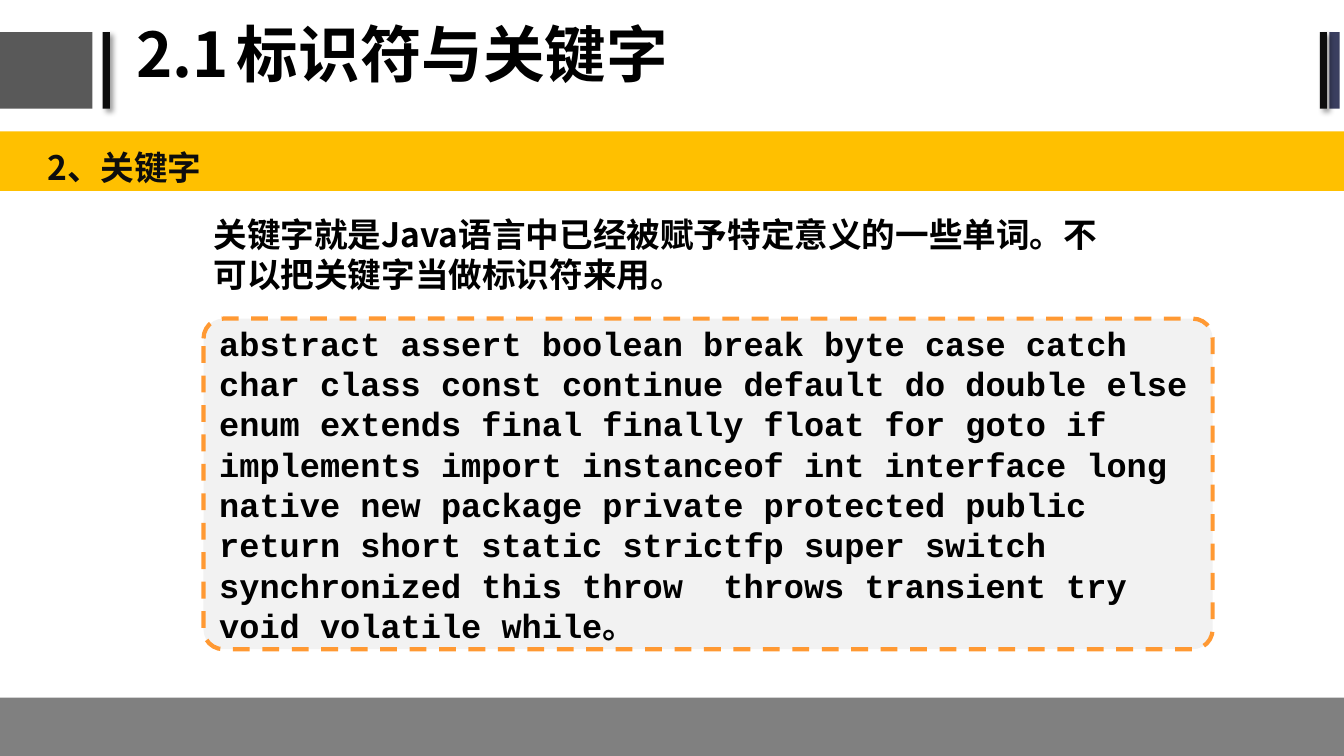
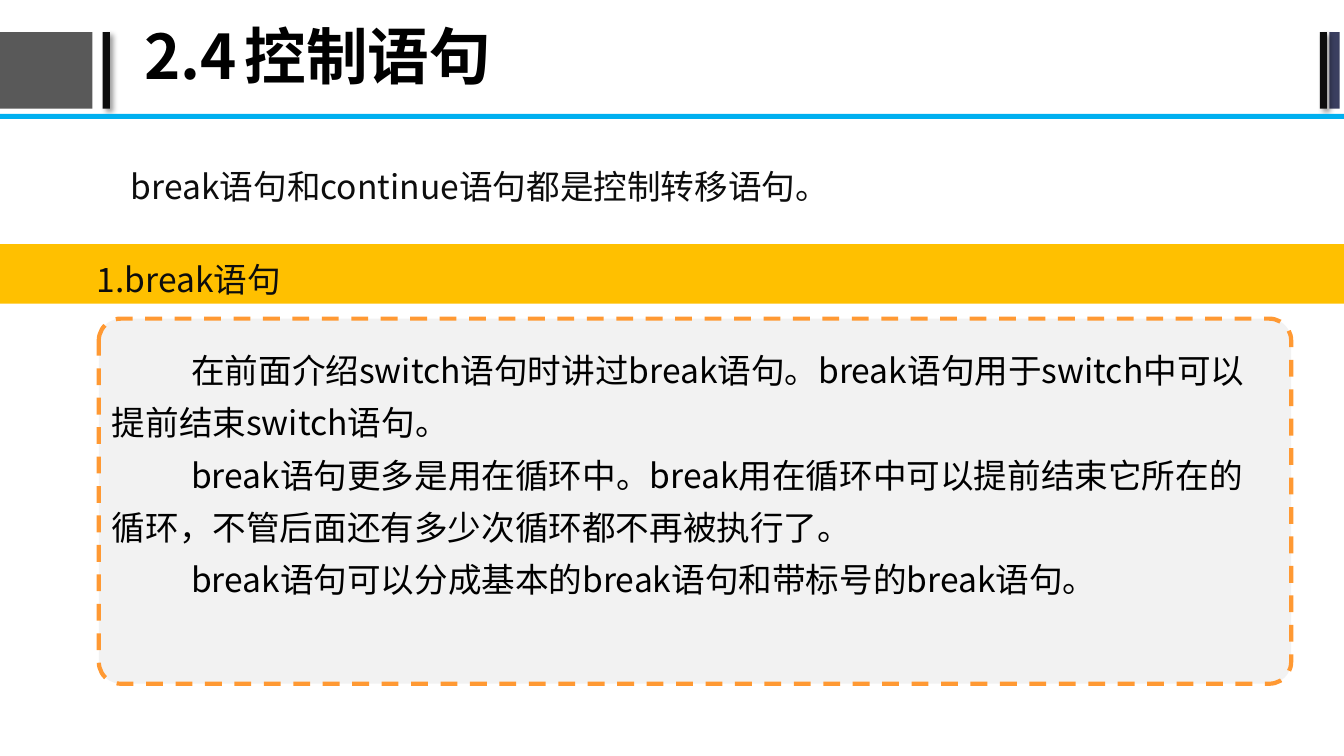
from dataclasses import dataclass

from lxml.etree import SubElement
from pptx import Presentation
from pptx.dml.color import RGBColor
from pptx.enum.dml import MSO_LINE
from pptx.enum.shapes import MSO_SHAPE
from pptx.enum.text import MSO_ANCHOR, PP_ALIGN
from pptx.oxml.ns import qn
from pptx.shapes.autoshape import Shape
from pptx.slide import Slide
from pptx.util import Cm, Pt

BLACK = RGBColor(0x00, 0x00, 0x00)
INK = RGBColor(0x0D, 0x0D, 0x0D)
CHARCOAL = RGBColor(0x59, 0x59, 0x59)
NAVY = RGBColor(0x3B, 0x3F, 0x60)
AMBER = RGBColor(0xFF, 0xC0, 0x00)
ORANGE = RGBColor(0xFF, 0x99, 0x33)
SKY = RGBColor(0x00, 0xB0, 0xF0)
PALE = RGBColor(0xF2, 0xF2, 0xF2)
GRAY = RGBColor(0x80, 0x80, 0x80)

SANS = "Noto Sans CJK SC"
MONO = "Courier New"
SLIDE_WIDTH, SLIDE_HEIGHT = 33.87, 19.05
NARROW_INSET = (0.25, 0.13)
WIDE_INSET = (0.33, 0.18)
TITLE_TAB = 3.41


@dataclass(frozen=True)
class Box:
    left: float
    top: float
    width: float
    height: float

    def lengths(self) -> tuple[Cm, Cm, Cm, Cm]:
        return Cm(self.left), Cm(self.top), Cm(self.width), Cm(self.height)


@dataclass(frozen=True)
class Bar:
    box: Box
    color: RGBColor
    shadow: bool = False


HEADER_BARS = (
    Bar(Box(0, 0.81, 2.33, 1.93), CHARCOAL),
    Bar(Box(2.59, 0.81, 0.18, 1.93), INK, shadow=True),
    Bar(Box(33.5, 0.81, 0.26, 1.93), NAVY),
    Bar(Box(33.26, 0.81, 0.18, 1.93), INK, shadow=True),
)
FOOTER = Bar(Box(0, 17.58, SLIDE_WIDTH, 1.47), GRAY)
TITLE_RULE = Bar(Box(0, 2.87, SLIDE_WIDTH, 0.13), SKY)

KEYWORDS = (
    "abstract assert boolean break byte case catch char class const continue "
    "default do double else enum extends final finally float for goto if "
    "implements import instanceof int interface long native new package private "
    "protected public return short static strictfp super switch synchronized "
    "this throw  throws transient try void volatile while。"
)
BREAK_NOTES = (
    "在前面介绍switch语句时讲过break语句。break语句用于switch中可以提前结束switch语句。\n"
    "break语句更多是用在循环中。break用在循环中可以提前结束它所在的循环，"
    "不管后面还有多少次循环都不再被执行了。\n"
    "break语句可以分成基本的break语句和带标号的break语句。"
)


def write_text(shape: Shape, text: str, *, size: float = 24, font: str = SANS,
               color: RGBColor = BLACK, bold: bool = False,
               anchor: MSO_ANCHOR = MSO_ANCHOR.TOP, spacing: float = 1.0,
               inset: tuple[float, float] = NARROW_INSET,
               indent: float = 0, tab: float = 0) -> None:
    frame = shape.text_frame
    frame.word_wrap = True
    frame.vertical_anchor = anchor
    frame.margin_left = frame.margin_right = Cm(inset[0])
    frame.margin_top = frame.margin_bottom = Cm(inset[1])
    for index, line in enumerate(text.split("\n")):
        paragraph = frame.add_paragraph() if index else frame.paragraphs[0]
        paragraph.alignment = PP_ALIGN.LEFT
        paragraph.line_spacing = spacing
        properties = paragraph._p.get_or_add_pPr()
        properties.set("marL", "0")
        properties.set("indent", str(Cm(indent)))
        if tab:
            stops = SubElement(properties, qn("a:tabLst"))
            SubElement(stops, qn("a:tab"), pos=str(Cm(tab)), algn="l")
        run = paragraph.add_run()
        run.text = line
        run.font.size = Pt(size)
        run.font.bold = bold
        run.font.color.rgb = color
        run.font.name = font
        SubElement(run._r.get_or_add_rPr(), qn("a:ea"), typeface=SANS)


def add_text(slide: Slide, box: Box, text: str, **text_format) -> None:
    write_text(slide.shapes.add_textbox(*box.lengths()), text, **text_format)


def add_bar(slide: Slide, bar: Bar) -> None:
    shape = slide.shapes.add_shape(MSO_SHAPE.RECTANGLE, *bar.box.lengths())
    shape.shadow.inherit = False
    shape.fill.solid()
    shape.fill.fore_color.rgb = bar.color
    shape.line.fill.background()
    if bar.shadow:
        effects = shape._element.spPr.find(qn("a:effectLst"))
        shadow = SubElement(effects, qn("a:outerShdw"), blurRad=str(Pt(4)),
                            dist=str(Pt(3)), dir="2700000", algn="tl",
                            rotWithShape="0")
        tint = SubElement(shadow, qn("a:srgbClr"), val=str(BLACK))
        SubElement(tint, qn("a:alpha"), val="40000")


def add_panel(slide: Slide, box: Box) -> Shape:
    panel = slide.shapes.add_shape(MSO_SHAPE.ROUNDED_RECTANGLE, *box.lengths())
    panel.shadow.inherit = False
    panel.adjustments[0] = 0.06
    panel.fill.solid()
    panel.fill.fore_color.rgb = PALE
    panel.line.color.rgb = ORANGE
    panel.line.width = Pt(3)
    panel.line.dash_style = MSO_LINE.DASH
    return panel


def add_lead(slide: Slide, box: Box, text: str, bold: bool = False) -> None:
    add_text(slide, box, text, color=INK, bold=bold, spacing=1.2,
             inset=WIDE_INSET)


def add_heading(slide: Slide, left: float, top: float, text: str,
                bold: bool = False) -> None:
    add_bar(slide, Bar(Box(0, top, SLIDE_WIDTH, 1.5), AMBER))
    add_lead(slide, Box(left, top, 25.88, 1.47), text, bold)


def start_slide(deck: Presentation, title_box: Box, title: str) -> Slide:
    slide = deck.slides.add_slide(deck.slide_layouts[6])
    for bar in HEADER_BARS:
        add_bar(slide, bar)
    add_text(slide, title_box, title, size=44, bold=True, spacing=0.9,
             anchor=MSO_ANCHOR.MIDDLE, tab=TITLE_TAB)
    return slide


def add_keywords_slide(deck: Presentation) -> None:
    slide = start_slide(deck, Box(3.18, 0.05, 21.51, 2.79), "2.1\t标识符与关键字")
    add_bar(slide, FOOTER)
    add_heading(slide, 0.86, 3.31, "2、关键字", bold=True)
    keywords = add_panel(slide, Box(5.13, 8.03, 25.43, 8.33))
    write_text(keywords, KEYWORDS, font=MONO, bold=True,
               anchor=MSO_ANCHOR.MIDDLE)
    add_text(slide, Box(5.13, 5.26, 23.6, 2.31),
             "关键字就是Java语言中已经被赋予特定意义的一些单词。不可以把关键字当做标识符来用。",
             bold=True)


def add_break_slide(deck: Presentation) -> None:
    slide = start_slide(deck, Box(3.38, 0, 28.58, 3), "2.4\t控制语句")
    add_bar(slide, TITLE_RULE)
    add_panel(slide, Box(2.49, 8.03, 30.05, 9.2))
    add_text(slide, Box(2.49, 8.33, 29.26, 8.61), BREAK_NOTES, spacing=1.3,
             inset=WIDE_INSET, indent=2)
    add_lead(slide, Box(2.97, 3.81, 25.88, 1.47),
             "break语句和continue语句都是控制转移语句。")
    add_heading(slide, 2.11, 6.15, "1.break语句")


def main() -> None:
    deck = Presentation()
    deck.slide_width, deck.slide_height = Cm(SLIDE_WIDTH), Cm(SLIDE_HEIGHT)
    add_keywords_slide(deck)
    add_break_slide(deck)
    deck.save("out.pptx")


if __name__ == "__main__":
    main()
